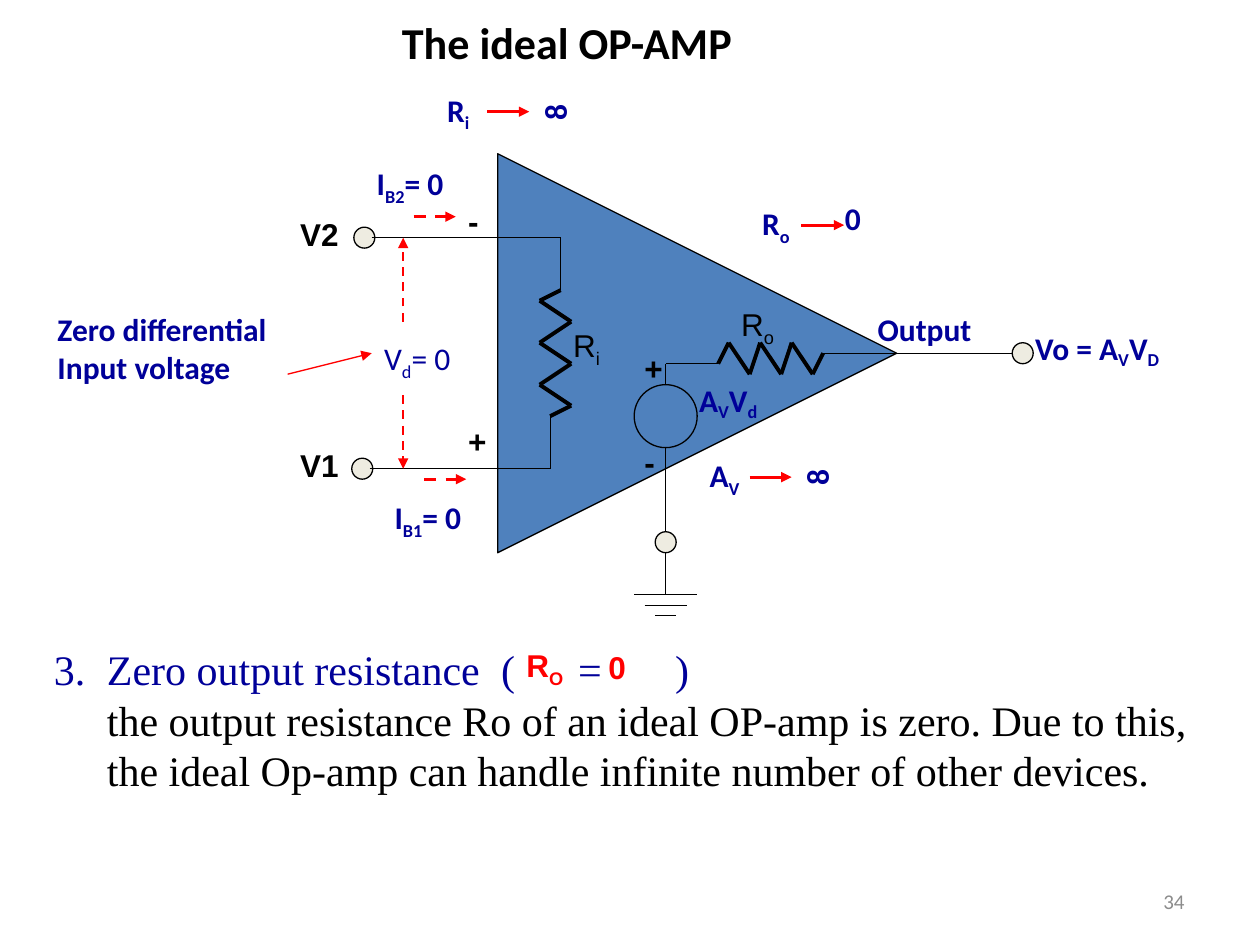
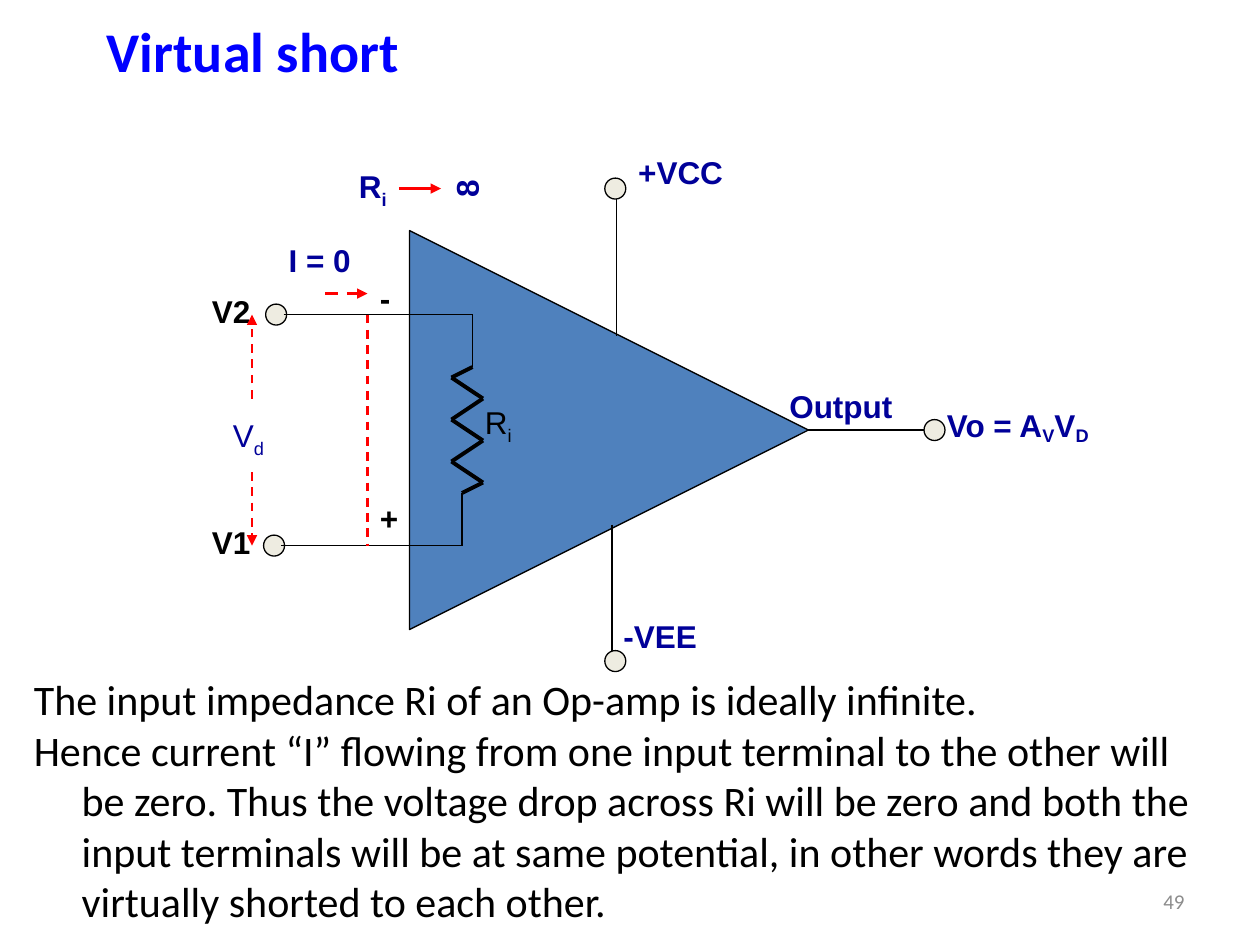
from itertools import pairwise
from lxml.etree import SubElement
from pptx import Presentation
from pptx.dml.color import RGBColor
from pptx.enum.dml import MSO_LINE
from pptx.enum.shapes import MSO_CONNECTOR, MSO_SHAPE
from pptx.enum.text import MSO_ANCHOR, MSO_AUTO_SIZE, PP_ALIGN
from pptx.oxml.ns import qn
from pptx.util import Inches, Pt

BLACK = RGBColor(0x00, 0x00, 0x00)
NAVY = RGBColor(0x00, 0x00, 0x99)
BLUE = RGBColor(0x00, 0x00, 0xFF)
RED = RGBColor(0xFF, 0x00, 0x00)
GRAY = RGBColor(0x8C, 0x8C, 0x8C)
AMP_FILL = RGBColor(0x4F, 0x81, 0xBD)
NODE_FILL = RGBColor(0xEE, 0xEC, 0xE1)
CELLS_PER_INCH = 12
AMP_SIZE = 38
DASH_WIDTH = 1.25
SERIF = "Times New Roman"
RI_ZIGZAG = [(6, 13), (4, 14), (7, 16), (4, 18), (7, 20), (4, 22), (7, 24), (5, 25)]
RO_ZIGZAG = [(21, 20), (22, 18), (24, 21), (25, 18), (27, 21), (28, 18), (30, 21), (31, 19)]


def add_text(p, text, size=18, font="Calibri", color=NAVY, bold=False, align=None,
             left=0, hanging=0, spacing=None, sub=-25):
    """Fill a paragraph; every second part between bars is a subscript."""
    pPr = p._p.get_or_add_pPr()
    pPr.set("marL", str(Inches(left)))
    pPr.set("indent", str(Inches(-hanging)))
    if spacing:
        p.line_spacing = Pt(spacing)
    p.alignment = align
    for i, part in enumerate(text.split("|")):
        r = p.add_run()
        r.text = part
        r.font.size, r.font.name, r.font.bold = Pt(size), font, bold
        r.font.color.rgb = color
        if i % 2:
            r._r.get_or_add_rPr().set("baseline", str(sub * 1000))


def text_box(s, x, y, w, h, *lines, wrap=True, grow=False, anchor=MSO_ANCHOR.TOP,
             rotation=0, **fmt):
    """Add a text box in inches with one paragraph per line and return its frame."""
    sp = s.shapes.add_textbox(Inches(x), Inches(y), Inches(w), Inches(h))
    sp.rotation = rotation
    tf = sp.text_frame
    tf.word_wrap, tf.vertical_anchor = wrap, anchor
    tf.auto_size = MSO_AUTO_SIZE.SHAPE_TO_FIT_TEXT if grow else MSO_AUTO_SIZE.NONE
    for i, line in enumerate(lines):
        add_text(tf.add_paragraph() if i else tf.paragraphs[0], line, **fmt)
    return tf


def slide_number(s, number):
    """Add the slide number at the bottom right."""
    text_box(s, 7.17, 6.95, 2.33, 0.4, str(number), size=12, color=GRAY,
             align=PP_ALIGN.RIGHT, anchor=MSO_ANCHOR.MIDDLE)


class Circuit:
    """Draws on a grid that starts at the top left of the amplifier."""

    def __init__(self, s, x, y, font):
        """Keep the slide, the origin in inches and the label font."""
        self.s, self.x, self.y, self.font = s, x, y, font

    def at(self, col, row):
        """Return the inches of a grid point."""
        return self.x + col / CELLS_PER_INCH, self.y + row / CELLS_PER_INCH

    def label(self, col, row, w, *lines, h=0.4, wrap=False, **fmt):
        """Add a label at a grid point."""
        fmt = {"font": self.font, "bold": True} | fmt
        text_box(self.s, *self.at(col, row), w, h, *lines, wrap=wrap, grow=True, **fmt)

    def shape(self, kind, col, row, size, fill=None):
        """Add an outlined square-bounded shape."""
        side = Inches(size / CELLS_PER_INCH)
        sp = self.s.shapes.add_shape(kind, *map(Inches, self.at(col, row)), side, side)
        sp.shadow.inherit = False
        sp.line.color.rgb, sp.line.width = BLACK, Pt(0.75)
        if fill is None:
            sp.fill.background()
        else:
            sp.fill.solid()
            sp.fill.fore_color.rgb = fill
        return sp

    def node(self, col, row):
        """Add a terminal centred on a grid point."""
        self.shape(MSO_SHAPE.OVAL, col - 1, row - 1, 2, NODE_FILL)

    def wire(self, *points, color=BLACK, width=0.75, dashed=False, arrow=False):
        """Join grid points with straight lines."""
        for start, end in pairwise(points):
            ends = map(Inches, (*self.at(*start), *self.at(*end)))
            cx = self.s.shapes.add_connector(MSO_CONNECTOR.STRAIGHT, *ends)
            cx.line.color.rgb, cx.line.width = color, Pt(width)
            if dashed:
                cx.line.dash_style = MSO_LINE.DASH
            if arrow:
                SubElement(cx.line._get_or_add_ln(), qn("a:tailEnd"), type="triangle")
            SubElement(cx._element.spPr, qn("a:effectLst"))

    def arrow(self, start, end, width=1.75, dashed=False):
        """Add a red arrow."""
        self.wire(start, end, color=RED, width=width, dashed=dashed, arrow=True)

    def infinity(self, col, row):
        """Add an infinity sign made of a turned 8."""
        self.label(col, row, 0.36, "8", wrap=True, rotation=270)

    def amplifier(self, vd_col, vd_text, vd_width, current):
        """Draw the amplifier with its inputs, input resistor and output."""
        self.wire((37, 19), (50, 19))
        self.shape(MSO_SHAPE.ISOSCELES_TRIANGLE, 0, 0, AMP_SIZE, AMP_FILL).rotation = 90
        inputs = (("V2", "-", 4, 0.28, 8, -12.7, 6, 13),
                  ("V1", "+", 25, 0.35, 30, -12.9, 5, 25))
        for name, sign, sign_row, sign_width, row, node_col, col, resistor_row in inputs:
            self.label(-4, sign_row, sign_width, sign, font="Arial", color=BLACK)
            self.label(-20, row - 2.75, 0.51, name, font="Arial", color=BLACK)
            self.node(node_col, row)
            self.wire((node_col + 0.7, row), (col, row), (col, resistor_row))
        self.wire(*RI_ZIGZAG, width=2.25)
        self.label(6, 15.8, 0.44, "R|i", h=0.43, font="Arial", color=BLACK, bold=False)
        for start, end in ((23, 30), (16, 8)):
            self.arrow((vd_col, start), (vd_col, end), DASH_WIDTH, dashed=True)
        self.label(vd_col - 3, 17.1, vd_width, vd_text, h=0.43, bold=False)
        self.label(-6, -6.6, 0.54, "R|i")
        self.infinity(3.25, -6.5)
        self.arrow((-1, -4), (3, -4))
        self.label(-12.7, 0.4, 0.96 if "|" in current else 0.69, current)
        self.arrow((-8, 6), (-4, 6), dashed=True)
        self.node(50, 19)
        self.label(35, 14.3, 1.25 if self.font == "Calibri" else 1.16, "Output")
        self.label(50, 16.1, 1.42, "Vo = A|V|V|D", sub=-18)


def output_stage(c):
    """Draw the output resistor, controlled source and ground."""
    c.wire((31, 19), (38, 19))
    c.wire(*RO_ZIGZAG, width=2.25)
    c.wire((21, 20), (16, 20), (16, 22))
    c.shape(MSO_SHAPE.OVAL, 13, 22, 6)
    c.wire((16, 28), (16, 37))
    c.node(16, 37)
    c.wire((16, 38), (16, 42))
    for i in range(3):
        c.wire((13 + i, 42 + i), (19 - i, 42 + i))
    c.label(22, 13.8, 0.5, "R|o", h=0.43, font="Arial", color=BLACK, bold=False)
    c.label(18, 21.1, 0.76, "A|V|V|d", sub=-18)
    c.label(12.8, 18, 0.35, "+", font="Arial", color=BLACK)
    c.label(12.8, 27, 0.28, "-", font="Arial", color=BLACK)


def output_resistance_text(s):
    """Add the numbered statement with its formula."""
    body = {"size": 24, "font": SERIF, "spacing": 28.8}
    tf = text_box(s, 0.33, 5.06, 9.35, 1.96, "3.\tZero output resistance",
                  left=0.42, hanging=0.42, **body)
    for line in ("the output resistance Ro of an ideal OP-amp is zero. Due to this,",
                 "the ideal Op-amp can handle infinite number of other devices."):
        add_text(tf.add_paragraph(), line, color=BLACK, left=0.42, **body)
    for x, symbol in ((3.88, "("), (4.49, "="), (5.26, ")")):
        text_box(s, x, 5.06, 0.4, 0.5, symbol, **body)
    red = {"font": "Arial", "color": RED, "bold": True, "grow": True}
    text_box(s, 4.08, 5.08, 0.61, 0.4, "R|O", wrap=False, **red)
    text_box(s, 4.73, 5.09, 0.36, 0.4, "0", **red)


def ideal_op_amp(s):
    """Build the slide on zero output resistance."""
    text_box(s, 0, 0.08, 9, 0.5, "The ideal OP-AMP", size=25.2, color=BLACK, bold=True,
             align=PP_ALIGN.CENTER, anchor=MSO_ANCHOR.MIDDLE)
    c = Circuit(s, 3.95, 1.22, "Calibri")
    c.amplifier(-9, "V|d|= 0", 0.88, "I|B2|= 0")
    output_stage(c)
    c.label(-43.1, 14.3, 2.27, "Zero differential", "Input voltage", h=0.7)
    c.arrow((-20, 21), (-12, 19), 0.75)
    c.label(24, 4.2, 0.59, "R|o")
    c.label(31.9, 3.7, 0.36, "0", wrap=True)
    c.arrow((28.9, 6.8), (33, 6.8))
    c.label(19, 28.2, 0.64, "A|V")
    c.infinity(28.2, 28.2)
    c.arrow((24, 30.8), (28, 30.8))
    c.label(-11, 32.2, 0.96, "I|B1|= 0")
    c.arrow((-7, 31), (-3, 31), dashed=True)
    output_resistance_text(s)
    slide_number(s, 34)


def virtual_short(s):
    """Build the slide on the virtual short."""
    text_box(s, 0.75, 0.08, 8.66, 0.75, "Virtual short", size=32, color=BLUE, bold=True)
    c = Circuit(s, 3.25, 1.83, "Arial")
    c.amplifier(-15, "V|d", 0.49, "I = 0")
    c.wire((19.3, 28), (19.3, 41))
    c.label(19.2, 36.2, 1, "-VEE")
    c.node(19.6, 41)
    c.wire((19.7, -3), (19.7, 10))
    c.node(19.6, -4)
    c.label(20.6, -8, 1, "+VCC")
    c.wire((-4, 8), (-4, 30), color=RED, width=DASH_WIDTH, dashed=True)
    text_box(s, 0.17, 5.3, 9.58, 2.2,
             "The input impedance Ri of an Op-amp is ideally infinite.",
             "Hence current “I” flowing from one input terminal to the other will be zero. "
             "Thus the voltage drop across Ri will be zero and both the input terminals will "
             "be at same potential, in other words they are virtually shorted to each other.",
             size=24, color=BLACK, left=0.38, hanging=0.38, spacing=28.8)
    slide_number(s, 49)


def main():
    """Build both slides and save them."""
    prs = Presentation()
    prs.slide_width, prs.slide_height = Inches(10), Inches(7.5)
    for build in (ideal_op_amp, virtual_short):
        build(prs.slides.add_slide(prs.slide_layouts[6]))
    prs.save("out.pptx")


if __name__ == "__main__":
    main()
